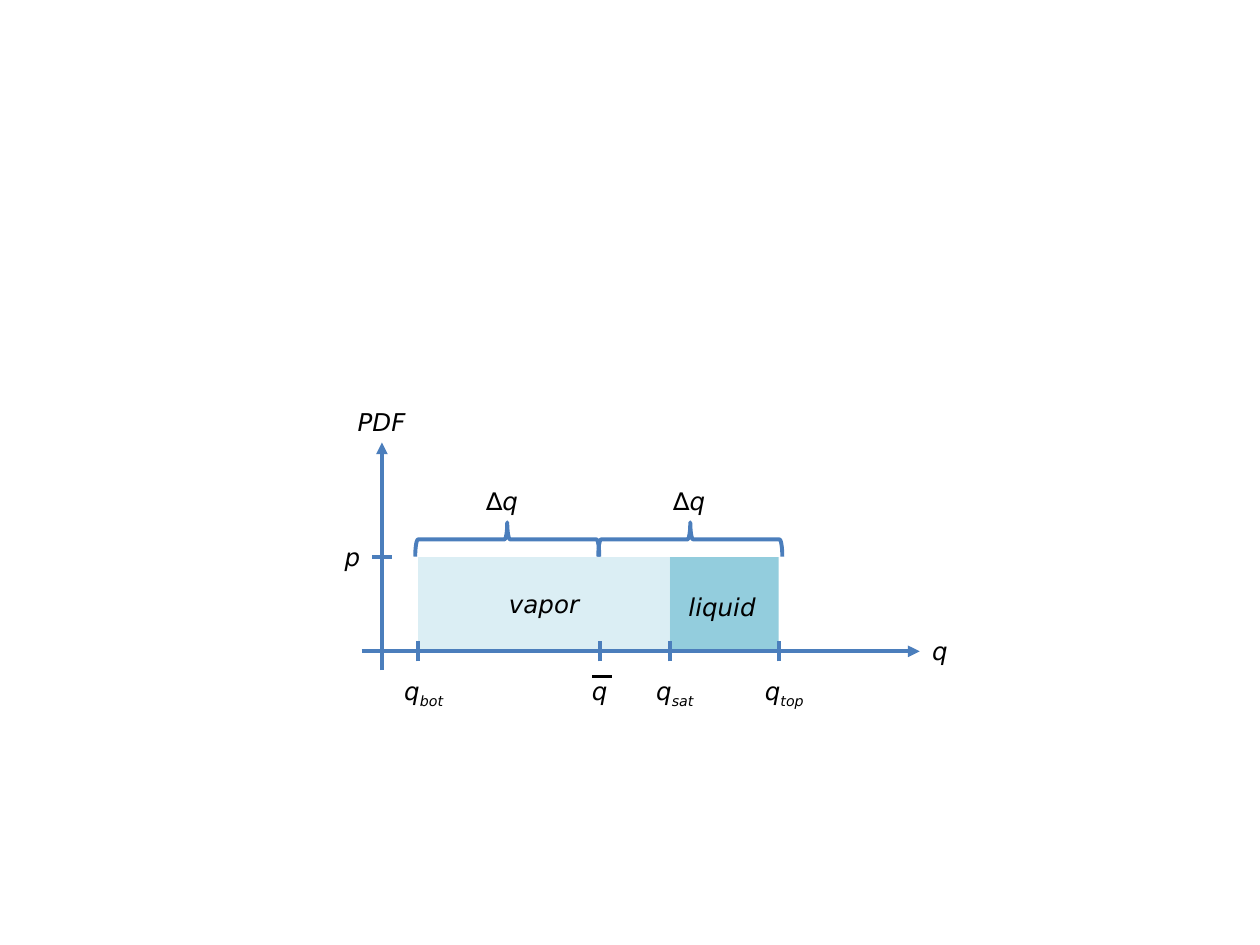
"""Draw the uniform humidity distribution with its vapor and liquid parts."""
from dataclasses import dataclass

from lxml.etree import SubElement
from pptx import Presentation
from pptx.dml.color import RGBColor
from pptx.enum.shapes import MSO_CONNECTOR, MSO_SHAPE
from pptx.enum.text import MSO_AUTO_SIZE
from pptx.oxml.ns import qn
from pptx.util import Cm, Pt

BLUE = RGBColor(0x4B, 0x7E, 0xBC)
VAPOR = RGBColor(0xDB, 0xEE, 0xF4)
LIQUID = RGBColor(0x93, 0xCD, 0xDD)
BLACK = RGBColor(0, 0, 0)

FONT_FORMAT = {"name": "DejaVu Sans", "size": Pt(14), "italic": True}
FRAME_FORMAT = {"word_wrap": False, "auto_size": MSO_AUTO_SIZE.SHAPE_TO_FIT_TEXT}

Q_BOT, Q_MEAN, Q_SAT, Q_TOP = 8.43, 12.09, 13.5, 15.7
PDF_X, Q_AXIS_Y, DENSITY_Y = 7.7, 13.13, 11.23
TICK_HALF = 0.2
LABEL_HEIGHT = 0.86
TICK_LABEL_Y = 13.51
DELTA_Y = 9.68
BRACE_TOP, BRACE_DEPTH, BRACE_SPAN = 9.02, 0.69, 3.71


@dataclass(frozen=True)
class Label:
    text: str
    left: float
    top: float
    width: float
    subscript: str = ""


@dataclass(frozen=True)
class Segment:
    x1: float
    y1: float
    x2: float
    y2: float
    color: RGBColor = BLUE
    weight: float = 2.25
    arrow: bool = False


@dataclass(frozen=True)
class Region:
    start: float
    end: float
    color: RGBColor


def apply_format(target, values: dict) -> None:
    for attribute, value in values.items():
        setattr(target, attribute, value)


def draw_segment(shapes, segment: Segment) -> None:
    ends = (Cm(n) for n in (segment.x1, segment.y1, segment.x2, segment.y2))
    connector = shapes.add_connector(MSO_CONNECTOR.STRAIGHT, *ends)
    connector.line.color.rgb = segment.color
    connector.line.width = Pt(segment.weight)
    if segment.arrow:
        SubElement(connector.get_or_add_ln(), qn("a:tailEnd"), type="triangle")
    SubElement(connector._element.spPr, qn("a:effectLst"))


def draw_region(shapes, region: Region) -> None:
    area = shapes.add_shape(
        MSO_SHAPE.RECTANGLE, Cm(region.start), Cm(DENSITY_Y),
        Cm(region.end - region.start), Cm(Q_AXIS_Y - DENSITY_Y))
    area.shadow.inherit = False
    area.fill.solid()
    area.fill.fore_color.rgb = region.color
    area.line.fill.background()


def draw_brace(shapes, left: float) -> None:
    brace = shapes.add_shape(
        MSO_SHAPE.LEFT_BRACE, Cm(left), Cm(BRACE_TOP), Cm(BRACE_DEPTH), Cm(BRACE_SPAN))
    brace.rotation = 90
    brace.shadow.inherit = False
    brace.fill.background()
    brace.line.color.rgb = BLUE
    brace.line.width = Pt(2.25)


def draw_label(shapes, label: Label) -> None:
    frame = shapes.add_textbox(
        Cm(label.left), Cm(label.top), Cm(label.width), Cm(LABEL_HEIGHT)).text_frame
    apply_format(frame, FRAME_FORMAT)
    for text, baseline in ((label.text, 0), (label.subscript, -25000)):
        if not text:
            continue
        run = frame.paragraphs[0].add_run()
        run.text = text
        apply_format(run.font, FONT_FORMAT)
        run.font.color.rgb = BLACK
        if baseline:
            run._r.get_or_add_rPr().set("baseline", str(baseline))


def main() -> None:
    presentation = Presentation()
    presentation.slide_width, presentation.slide_height = Cm(25.4), Cm(19.05)
    shapes = presentation.slides.add_slide(presentation.slide_layouts[6]).shapes

    draw_segment(shapes, Segment(PDF_X, 13.51, PDF_X, 8.92, arrow=True))
    for region in (Region(Q_SAT, Q_TOP, LIQUID), Region(Q_BOT, Q_SAT, VAPOR)):
        draw_region(shapes, region)
    draw_segment(shapes, Segment(7.29, Q_AXIS_Y, 18.54, Q_AXIS_Y, arrow=True))

    for q in (Q_BOT, Q_MEAN, Q_SAT, Q_TOP):
        draw_segment(shapes, Segment(q, Q_AXIS_Y + TICK_HALF, q, Q_AXIS_Y - TICK_HALF))
    draw_segment(shapes, Segment(PDF_X - TICK_HALF, DENSITY_Y, PDF_X + TICK_HALF, DENSITY_Y))

    for left in (9.88, 13.57):
        draw_brace(shapes, left)

    labels = (
        Label("liquid", 13.63, 11.81, 1.95),
        Label("vapor", 10.01, 11.75, 1.96),
        Label("PDF", 6.96, 8.08, 1.5),
        Label("p", 6.7, 10.8, 0.82),
        Label("q", 18.54, 12.7, 0.82),
        Label("∆q", 9.55, DELTA_Y, 1.2),
        Label("∆q", 13.32, DELTA_Y, 1.2),
        Label("q", 7.9, TICK_LABEL_Y, 1.37, "bot"),
        Label("q", 12.98, TICK_LABEL_Y, 1.34, "sat"),
        Label("q", 15.17, TICK_LABEL_Y, 1.37, "top"),
    )
    for label in labels:
        draw_label(shapes, label)

    mean = shapes.add_group_shape().shapes
    draw_label(mean, Label("q", 11.68, TICK_LABEL_Y, 0.82))
    draw_segment(mean, Segment(11.94, 13.64, 12.34, 13.64, BLACK, 1.5))

    presentation.save("out.pptx")


main()
